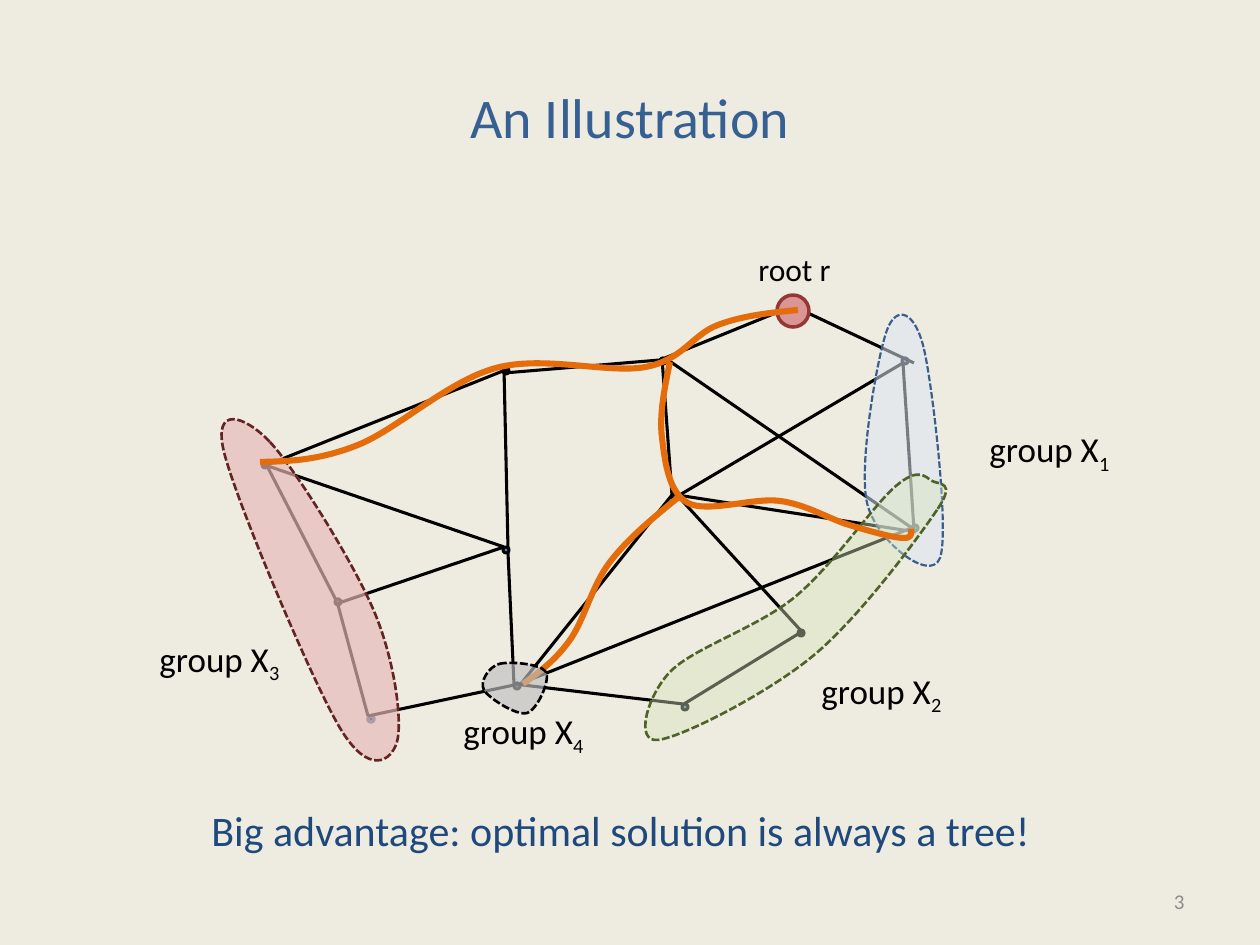
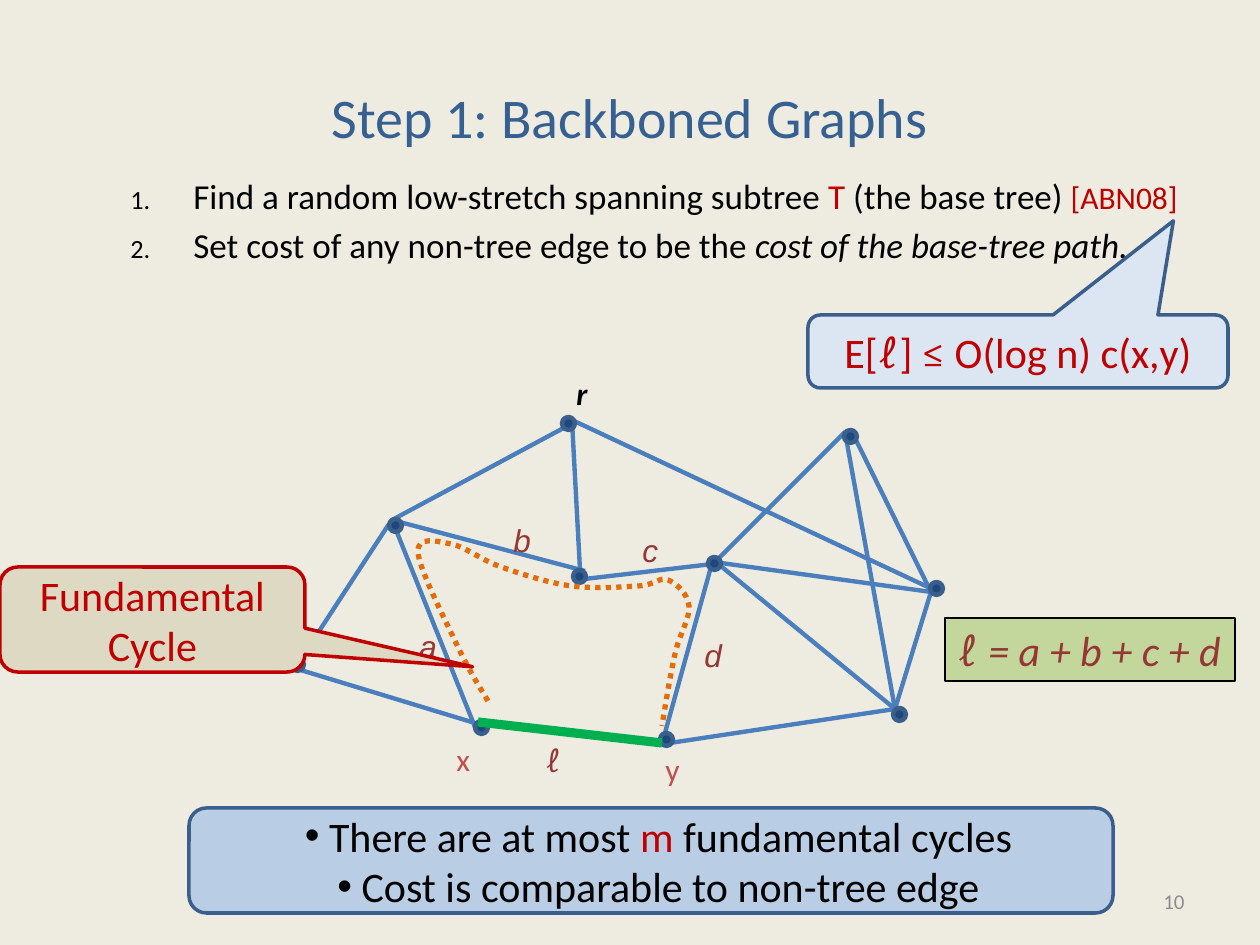
import lxml.etree
import pptx
import pptx.dml.color
import pptx.enum.dml
import pptx.enum.shapes
import pptx.enum.text
import pptx.oxml.ns
import pptx.util

PX = 914400 / 126
KIND = pptx.enum.shapes.MSO_SHAPE
ALIGN = pptx.enum.text.PP_ALIGN
MID = pptx.enum.text.MSO_ANCHOR.MIDDLE
DASH = pptx.enum.dml.MSO_LINE.SQUARE_DOT
DOT = pptx.enum.dml.MSO_LINE.ROUND_DOT

PAPER, BLACK, GREY = "EEECE1", "000000", "8C8C8C"
BLUE, NAVY, STEEL, EDGE = "376092", "1F497D", "3A5F8C", "4B7EBC"
RED, WINE, ROSE, ORANGE = "C00000", "953735", "C0504D", "E46C0A"

TITLE = dict(size=32, color=BLUE)
NUMBER = dict(size=12, color=GREY)
SMALL = dict(size=18, color=BLACK)
BODY = dict(size=20, color=BLACK)
LARGE = dict(size=24, color=BLACK)
ALERT = LARGE | dict(color=RED)
LETTER = SMALL | dict(name="Arial", color=WINE, italic=True)
END = SMALL | dict(color=ROSE)
MATH = dict(name="Cambria")

# Slide 1: a graph with four groups, joined to the root by a tree
DOTS = [(335, 599), (503, 368), (503, 547), (660, 358), (798, 630), (672, 494),
        (902, 358), (912, 525), (514, 683), (682, 704), (262, 462)]
ROOT_DOT, LAST_DOT = (788, 306), (368, 716)
LINKS = [
    (793, 306, 914, 363), (262, 467, 508, 369), (504, 369, 508, 547),
    (504, 547, 336, 604), (336, 600, 265, 462), (262, 464, 504, 547),
    (504, 373, 660, 360), (662, 358, 672, 495), (672, 495, 520, 685),
    (514, 684, 508, 552), (677, 495, 804, 634), (803, 631, 684, 704),
    (677, 495, 916, 532), (914, 530, 903, 363), (903, 363, 678, 496),
    (665, 358, 912, 528), (914, 527, 519, 684), (514, 684, 683, 704),
    (793, 306, 665, 358), (368, 716, 338, 605), (368, 716, 519, 684),
]
# number, label corner, fill, opacity, line, line width, knots
GROUPS = [
    ("1", (977, 421), "DCE6F2", 54, STEEL, 1.25,
     [(924, 349), (940, 558), (867, 503), (887, 330)]),
    ("2", (809, 663), "D7E4BD", 42, "4F6228", 1.5,
     [(937, 510), (813, 656), (658, 740), (670, 672), (795, 597),
      (896, 486), (932, 481)]),
    ("3", (147, 631), "E6B9B8", 68, "632523", 1.5,
     [(270, 442), (374, 611), (397, 742), (340, 728), (224, 452)]),
    ("4", (451, 703), "BFBFBF", 65, BLACK, 1.5,
     [(499, 664), (546, 672), (527, 713), (484, 690)]),
]
ROUTES = [
    [(798, 310), (718, 325), (646, 367), (496, 368), (358, 445), (260, 462)],
    [(670, 362), (662, 438), (688, 503), (780, 501), (849, 525), (902, 538),
     (911, 529)],
    [(680, 496), (610, 562), (570, 640), (523, 684)],
]

# Slide 2: a base tree and one of its cycles
STEPS = [
    [("Find a random low-stretch spanning subtree ", {}), ("T", dict(color=RED)),
     (" (the base tree) ", {}), ("[ABN08]", dict(color=RED, size=18)), (" ", {})],
    [("Set cost of any non-tree edge to be the ", {}),
     ("cost of the base-tree path.", dict(italic=True))],
]
NODES = [(573, 570), (844, 430), (930, 582), (893, 708), (562, 417),
         (291, 658), (475, 721), (660, 733), (389, 519), (708, 557)]
EDGES = [
    (301, 659, 389, 524), (392, 520, 573, 423), (572, 420, 580, 570),
    (392, 520, 585, 571), (392, 520, 475, 727), (294, 668, 488, 727),
    (486, 722, 670, 743), (670, 743, 895, 709), (895, 709, 931, 592),
    (931, 592, 851, 430), (845, 432, 895, 709), (931, 592, 721, 563),
    (719, 558, 845, 432), (711, 558, 895, 709), (572, 420, 930, 588),
    (576, 580, 721, 563), (711, 567, 665, 733),
]
CYCLE = [(488, 701), (456, 643), (418, 552), (451, 544), (501, 567), (571, 586),
         (639, 586), (668, 580), (689, 606), (675, 654), (662, 726)]
MARKS = [
    ("ℓ", 533, 735, SMALL | MATH | dict(color=WINE)),
    ("a", 407, 621, LETTER), ("b", 501, 515, LETTER),
    ("c", 630, 525, LETTER), ("d", 692, 630, LETTER),
    ("x", 444, 734, END), ("y", 653, 744, END),
]
FACTS = [
    [(" There are at most ", {}), ("m", dict(color=RED)),
     (" fundamental cycles", {})],
    [(" Cost is comparable to non-tree edge", {})],
]
BOUND = [("E[", {}), ("ℓ", MATH), ("] ", {}), ("≤", MATH),
         (" O(log n) c(x,y)", {})]


def emu(*vals):
    return [round(v * PX) for v in vals]


def rgb(code):
    return pptx.dml.color.RGBColor.from_string(code)


def tag(name):
    return pptx.oxml.ns.qn(name)


def child(parent, name, **attrs):
    node = lxml.etree.SubElement(parent, tag(name))
    for key, val in attrs.items():
        node.set(key, str(val))


def write(shape, paras, base, align=None, wrap=True, anchor=None, bullet=None):
    """Fill a shape with paragraphs, each a string or a list of (text, format)."""
    frame = shape.text_frame
    frame.word_wrap = wrap
    if anchor is not None:
        frame.vertical_anchor = anchor
    for i, runs in enumerate(paras):
        para = frame.add_paragraph() if i else frame.paragraphs[0]
        para.alignment = align
        if bullet:
            bullet(para)
        for text, extra in [(runs, {})] if isinstance(runs, str) else runs:
            run = para.add_run()
            run.text = text
            look = dict(name="Calibri") | base | extra
            run.font.color.rgb = rgb(look.pop("color"))
            run.font.size = pptx.util.Pt(look.pop("size"))
            sub = look.pop("sub", None)
            if sub:
                run._r.get_or_add_rPr().set("baseline", str(sub * 1000))
            for key, val in look.items():
                setattr(run.font, key, val)


def indent(para, left, first):
    props = para._p.get_or_add_pPr()
    for key, val in zip(("marL", "indent"), emu(left, first)):
        props.set(key, str(val))
    return props


def number(para):
    props = indent(para, 118, -63)
    child(props, "a:buSzPct", val=75000)
    child(props, "a:buAutoNum", type="arabicPeriod")


def point(para):
    props = indent(para, 15, 0)
    child(props, "a:buFont", typeface="Arial")
    child(props, "a:buChar", char="•")


def label(slide, box, paras, base, **form):
    shape = slide.shapes.add_textbox(*emu(*box))
    write(shape, paras, base, **form)
    return shape


def stroke(line, color, width, dash=None):
    line.color.rgb = rgb(color)
    line.width = pptx.util.Pt(width)
    if dash is not None:
        line.dash_style = dash


def paint(shape, fill, line=None, alpha=None):
    shape.shadow.inherit = False
    if fill:
        shape.fill.solid()
        shape.fill.fore_color.rgb = rgb(fill)
        if alpha:
            tint = shape._element.spPr.find(".//" + tag("a:srgbClr"))
            child(tint, "a:alpha", val=alpha * 1000)
    else:
        shape.fill.background()
    if line:
        stroke(shape.line, *line)
    else:
        shape.line.fill.background()


def block(slide, kind, box, fill, line=None, adjust=()):
    shape = slide.shapes.add_shape(kind, *emu(*box))
    for i, val in enumerate(adjust):
        shape.adjustments[i] = val
    paint(shape, fill, line)
    return shape


def disc(slide, spot, size, fill, line=None):
    block(slide, KIND.OVAL, (*spot, size, size), fill, line)


def link(slide, ends, color, width):
    line = slide.shapes.add_connector(
        pptx.enum.shapes.MSO_CONNECTOR.STRAIGHT, *emu(*ends))
    stroke(line.line, color, width)
    child(line._element.spPr, "a:effectLst")


def smooth(knots, closed):
    """Two handles and an end point for each cubic span through the knots."""
    count = len(knots)
    spans = count if closed else count - 1
    pts = []
    for i in range(spans):
        a, b = knots[i], knots[(i + 1) % count]
        prev, after = knots[i - 1], knots[(i + 2) % count]
        c = [p + (q - o) / 6 for o, p, q in zip(prev, a, b)]
        d = [q - (r - p) / 6 for p, q, r in zip(a, b, after)]
        if not closed and i == 0:
            c = [(p + q) / 2 for p, q in zip(a, d)]
        if not closed and i == spans - 1:
            d = [(p + q) / 2 for p, q in zip(b, c)]
        pts += [c, d, b]
    return pts


def curve(slide, knots, line, fill=None, alpha=None):
    pen = slide.shapes.build_freeform(*emu(*knots[0]))
    pen.add_line_segments([emu(*p) for p in smooth(knots, bool(fill))],
                          close=bool(fill))
    shape = pen.convert_to_shape()
    legs = list(shape._element.iter(tag("a:lnTo")))
    for c, d, b in zip(legs[::3], legs[1::3], legs[2::3]):
        bend = lxml.etree.Element(tag("a:cubicBezTo"))
        c.addprevious(bend)
        for leg in (c, d, b):
            bend.append(leg[0])
            leg.getparent().remove(leg)
    paint(shape, fill, line, alpha)


def region(slide, group):
    num, spot, fill, alpha, color, width, knots = group
    curve(slide, knots, (color, width, DASH), fill, alpha)
    label(slide, (*spot, 147, 55), [[("group X", {}), (num, dict(sub=-25))]],
          BODY, wrap=False)


def start(deck, title, page):
    slide = deck.slides.add_slide(deck.slide_layouts[5])
    head = slide.shapes.title
    head.left, head.top, head.width, head.height = emu(63, 38, 1134, 157)
    write(head, [title], TITLE, align=ALIGN.CENTER, anchor=MID)
    label(slide, (903, 876, 294, 50), [page], NUMBER,
          align=ALIGN.RIGHT, anchor=MID)
    return slide


def graph(deck):
    slide = start(deck, "An Illustration", "3")
    for spot in DOTS:
        disc(slide, spot, 6, "4F81BD", (BLACK, 1.75))
    disc(slide, ROOT_DOT, 6, BLACK)
    disc(slide, LAST_DOT, 6, BLACK, (STEEL, 2))
    for ends in LINKS:
        link(slide, ends, BLACK, 1.75)
    disc(slide, (777, 295), 32, "D99694", (WINE, 2))
    label(slide, (746, 244, 98, 50), ["root r"], SMALL, wrap=False)
    for group in GROUPS[:3]:
        region(slide, group)
    for knots in ROUTES:
        curve(slide, knots, (ORANGE, 3.5))
    region(slide, GROUPS[3])
    label(slide, (199, 798, 852, 63),
          ["Big advantage: optimal solution is always a tree!"],
          LARGE | dict(color=NAVY), wrap=False)


def backbone(deck):
    slide = start(deck, "Step 1: Backboned Graphs", "10")
    steps = label(slide, (63, 168, 1134, 242), STEPS, BODY, bullet=number)
    steps.text_frame.paragraphs[1].space_before = pptx.util.Pt(4)
    for ends in EDGES:
        link(slide, ends, EDGE, 2.5)
    label(slide, (564, 368, 43, 50), ["r"], SMALL | dict(bold=True, italic=True))
    for spot in NODES:
        disc(slide, spot, 13, NAVY, (STEEL, 2.5))
    curve(slide, CYCLE, (ORANGE, 3, DOT))
    link(slide, (478, 722, 662, 743), "00B050", 5.25)
    for text, left, top, look in MARKS:
        label(slide, (left, top, 42, 50), [text], look, wrap=False)

    total = block(slide, KIND.RECTANGLE, (945, 618, 290, 63), "C3D69B",
                  (BLACK, 0.75))
    write(total, [[("ℓ ", MATH), ("= a + b + c + d", dict(italic=True))]],
          LARGE | dict(color=WINE), align=ALIGN.LEFT, wrap=False, anchor=MID)
    facts = block(slide, KIND.ROUNDED_RECTANGLE, (189, 808, 924, 105), "B9CDE5",
                  (STEEL, 2))
    write(facts, FACTS, LARGE, align=ALIGN.CENTER, anchor=MID, bullet=point)
    for text, box, fill, color, adjust in [
        ("Fundamental Cycle", (0, 567, 305, 105), "DDD9C3", RED,
         (1.05, 0.45, 0.17)),
        (BOUND, (808, 315, 420, 73), "DCE6F2", STEEL, (0.37, -1.79, 0.17)),
    ]:
        note = block(slide, KIND.ROUNDED_RECTANGULAR_CALLOUT, box, fill,
                     (color, 2), adjust)
        write(note, [text], ALERT, align=ALIGN.CENTER, anchor=MID)


def main():
    deck = pptx.Presentation()
    deck.slide_width, deck.slide_height = emu(1260, 945)
    back = deck.slide_master.background.fill
    back.solid()
    back.fore_color.rgb = rgb(PAPER)
    graph(deck)
    backbone(deck)
    deck.save("out.pptx")


if __name__ == "__main__":
    main()
